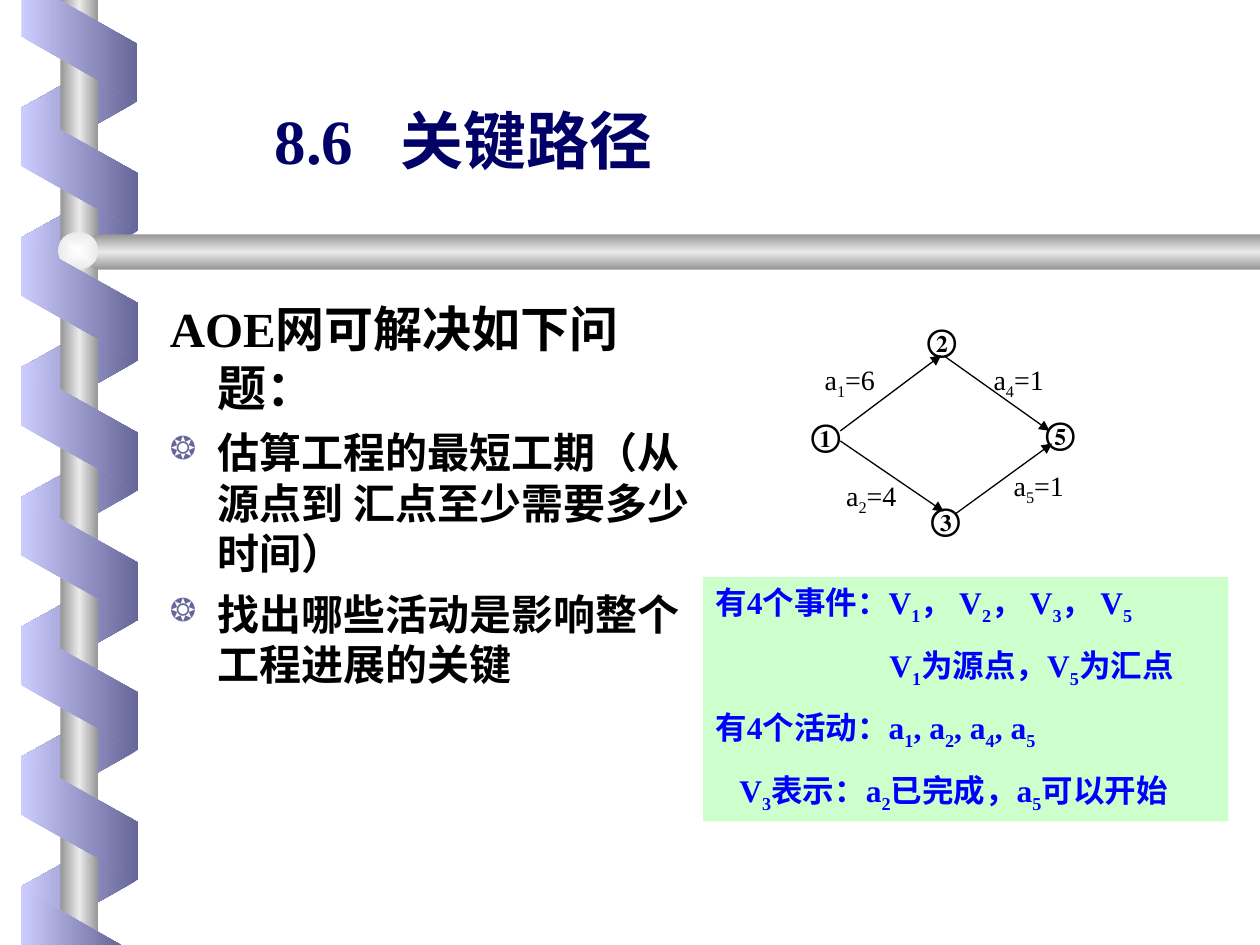
"""Build the slide on critical paths in an AOE network."""
from dataclasses import dataclass

from lxml import etree
from pptx import Presentation
from pptx.dml.color import RGBColor
from pptx.enum.shapes import MSO_CONNECTOR, MSO_SHAPE
from pptx.enum.text import MSO_ANCHOR, MSO_AUTO_SIZE, PP_ALIGN
from pptx.oxml import parse_xml
from pptx.oxml.ns import nsdecls, qn
from pptx.util import Inches, Pt


@dataclass(frozen=True)
class Theme:
    latin: str = "Times New Roman"
    chinese: str = "Roboto Condensed"
    title: str = "000066"
    ink: str = "000000"
    note: str = "0000FF"
    note_fill: str = "CCFFCC"
    bullet: str = "666699"
    ribbon: tuple = ("CCCCFF", "666699")
    metal: tuple = ("969696", "EAEAEA", "969696")
    bead: tuple = ("FEFFFF", "EAEAEA")
    title_size: int = 36
    lead_size: int = 28
    point_size: int = 24
    note_size: int = 18
    label_size: int = 16


THEME = Theme()
TITLE = ("8.6\t", "关键路径")
LEAD = ("AOE", "网可解决如下问题：")
POINTS = [
    "估算工程的最短工期（从源点到 汇点至少需要多少时间）",
    "找出哪些活动是影响整个工程进展的关键",
]
EVENTS = [("①", 6.34, 3.25), ("②", 7.26, 2.5), ("③", 7.29, 3.92), ("⑤", 8.2, 3.24)]
ACTIVITIES = [
    ("a_1=6", (6.33, 2.83), (6.67, 3.42), (7.47, 2.82)),
    ("a_2=4", (6.5, 3.75), (6.67, 3.5), (7.49, 4.06)),
    ("a_5=1", (7.83, 3.67), (7.58, 4.08), (8.35, 3.52)),
    ("a_4=1", (7.67, 2.83), (7.5, 2.83), (8.33, 3.42)),
]
NOTES = [
    ("有4个事件：V_1， V_2， V_3， V_5", 0),
    ("V_1为源点，V_5为汇点", 1.38),
    ("有4个活动：a_1, a_2, a_4, a_5", 0),
    ("V_3表示：a_2已完成，a_5可以开始", 0.19),
]
TURN = 1.03
RIBBON_TOP = [(0.17, 0), (0.17, 0.29), (1.09, 0.81), (1.09, 0.35), (0.47, 0)]
RIBBON_END = [(0.96, 7.5), (0.17, 7.05), (0.17, 7.5)]
RAIL = [(10, 1.86), (0.76, 1.86), (0.6, 2), (0.76, 2.14), (10, 2.14)]


def box(*lengths):
    return [Inches(length) for length in lengths]


def add_run(paragraph, text, size, color, font=THEME.latin, bold=True):
    run = paragraph.add_run()
    run.text = text
    run.font.name, run.font.size, run.font.bold = font, Pt(size), bold
    run.font.color.rgb = RGBColor.from_string(color)
    return run


def add_formula(paragraph, text, size, color, bold=True):
    base, *indexed = text.split("_")
    add_run(paragraph, base, size, color, bold=bold)
    for part in indexed:
        index = add_run(paragraph, part[0], size, color, bold=bold)
        index.font._element.set("baseline", "-25000")
        if part[1:]:
            add_run(paragraph, part[1:], size, color, bold=bold)


def shade(shape, colors, angle=0, radial=False):
    step = 100000 // (len(colors) - 1)
    stops = "".join(
        f'<a:gs pos="{i * step}"><a:srgbClr val="{color}"/></a:gs>'
        for i, color in enumerate(colors)
    )
    direction = f'<a:lin ang="{angle * 60000}" scaled="1"/>'
    if radial:
        direction = ('<a:path path="rect"><a:fillToRect l="50000" t="50000" '
                     'r="50000" b="50000"/></a:path>')
    shape._element.spPr.insert(2, parse_xml(
        f'<a:gradFill {nsdecls("a")} rotWithShape="0">'
        f"<a:gsLst>{stops}</a:gsLst>{direction}</a:gradFill>"))
    shape.line.fill.background()
    shape.shadow.inherit = False


def add_outline(slide, points, colors, angle=0):
    start, *corners = [box(*point) for point in points]
    builder = slide.shapes.build_freeform(*start)
    builder.add_line_segments(corners, close=True)
    shade(builder.convert_to_shape(), colors, angle)


def add_strands(slide, top, count, height, behind):
    for turn in range(count):
        strand = slide.shapes.add_shape(
            MSO_SHAPE.PARALLELOGRAM, *box(0.14, top + turn * TURN, 0.98, height))
        strand.adjustments[0] = 0.56
        strand.rotation = 90 if behind else 270
        if behind:
            strand._element.spPr.xfrm.set("flipH", "1")
        shade(strand, THEME.ribbon[::-1] if behind else THEME.ribbon)


def add_binding(slide):
    add_strands(slide, 0.37, 7, 0.92, behind=True)
    pole = slide.shapes.add_shape(MSO_SHAPE.RECTANGLE, *box(0.48, 0, 0.3, 7.5))
    shade(pole, THEME.metal)
    add_outline(slide, RAIL, THEME.metal, 90)
    bead = slide.shapes.add_shape(MSO_SHAPE.OVAL, *box(0.46, 1.84, 0.32, 0.3))
    shade(bead, THEME.bead, radial=True)
    add_strands(slide, 0.88, 6, 0.93, behind=False)
    for ribbon_part in (RIBBON_TOP, RIBBON_END):
        add_outline(slide, ribbon_part, THEME.ribbon)


def add_title(slide):
    title = slide.shapes.title
    title.left, title.top, title.width, title.height = box(2.08, 0.5, 4.25, 0.96)
    frame = title.text_frame
    frame.vertical_anchor, frame.auto_size = MSO_ANCHOR.BOTTOM, MSO_AUTO_SIZE.NONE
    heading = frame.paragraphs[0]
    heading.alignment = PP_ALIGN.LEFT
    tabs = etree.SubElement(heading._p.get_or_add_pPr(), qn("a:tabLst"))
    etree.SubElement(tabs, qn("a:tab"), pos=str(Inches(1)), algn="l")
    for text, font in zip(TITLE, (THEME.latin, THEME.chinese)):
        add_run(heading, text, THEME.title_size, THEME.title, font)


def add_body(slide):
    frame = slide.shapes.add_textbox(*box(1.25, 2.32, 4.33, 2.85)).text_frame
    frame.word_wrap = True
    lead = frame.paragraphs[0]
    for text, font in zip(LEAD, (THEME.latin, THEME.chinese)):
        add_run(lead, text, THEME.lead_size, THEME.ink, font)
    for text in POINTS:
        point = frame.add_paragraph()
        bullet = point._p.get_or_add_pPr()
        color = etree.SubElement(bullet, qn("a:buClr"))
        etree.SubElement(color, qn("a:srgbClr"), val=THEME.bullet)
        etree.SubElement(bullet, qn("a:buSzPct"), val="75000")
        etree.SubElement(bullet, qn("a:buChar"), char="❂")
        point.space_before = Pt(6)
        add_run(point, text, THEME.point_size, THEME.ink, THEME.chinese)
    for paragraph in frame.paragraphs:
        properties = paragraph._p.get_or_add_pPr()
        properties.set("marL", str(Inches(0.38)))
        properties.set("indent", str(-Inches(0.38)))
        properties.set("hangingPunct", "0")


def add_network(slide):
    for event, left, top in EVENTS:
        frame = slide.shapes.add_textbox(*box(left, top, 0.43, 0.4)).text_frame
        frame.word_wrap = False
        frame.paragraphs[0].alignment = PP_ALIGN.CENTER
        add_run(frame.paragraphs[0], event, THEME.note_size, THEME.ink)
    for label, place, start, end in ACTIVITIES:
        arrow = slide.shapes.add_connector(MSO_CONNECTOR.STRAIGHT, *box(*start, *end))
        arrow.line.color.rgb = RGBColor.from_string(THEME.ink)
        arrow.line.width = Pt(0.75)
        etree.SubElement(arrow.line._get_or_add_ln(), qn("a:tailEnd"), type="triangle")
        etree.SubElement(arrow._element.spPr, qn("a:effectLst"))
        frame = slide.shapes.add_textbox(*box(*place, 0.83, 0.41)).text_frame
        frame.word_wrap = True
        frame.paragraphs[0].alignment = PP_ALIGN.CENTER
        add_formula(frame.paragraphs[0], label, THEME.label_size, THEME.ink, bold=False)


def add_notes_panel(slide):
    panel = slide.shapes.add_shape(MSO_SHAPE.RECTANGLE, *box(5.58, 4.58, 4.17, 1.94))
    panel.fill.solid()
    panel.fill.fore_color.rgb = RGBColor.from_string(THEME.note_fill)
    panel.line.fill.background()
    panel.shadow.inherit = False
    frame = panel.text_frame
    frame.word_wrap, frame.vertical_anchor = True, MSO_ANCHOR.TOP
    for row, (text, indent) in enumerate(NOTES):
        note = frame.add_paragraph() if row else frame.paragraphs[0]
        note.alignment = PP_ALIGN.LEFT
        note._p.get_or_add_pPr().set("marL", str(Inches(indent)))
        if row:
            note.space_before = Pt(11.2)
        add_formula(note, text, THEME.note_size, THEME.note)


def main():
    deck = Presentation()
    deck.slide_width, deck.slide_height = box(10, 7.5)
    slide = deck.slides.add_slide(deck.slide_layouts[5])
    for add_part in (add_binding, add_title, add_body, add_network, add_notes_panel):
        add_part(slide)
    deck.save("out.pptx")


if __name__ == "__main__":
    main()
